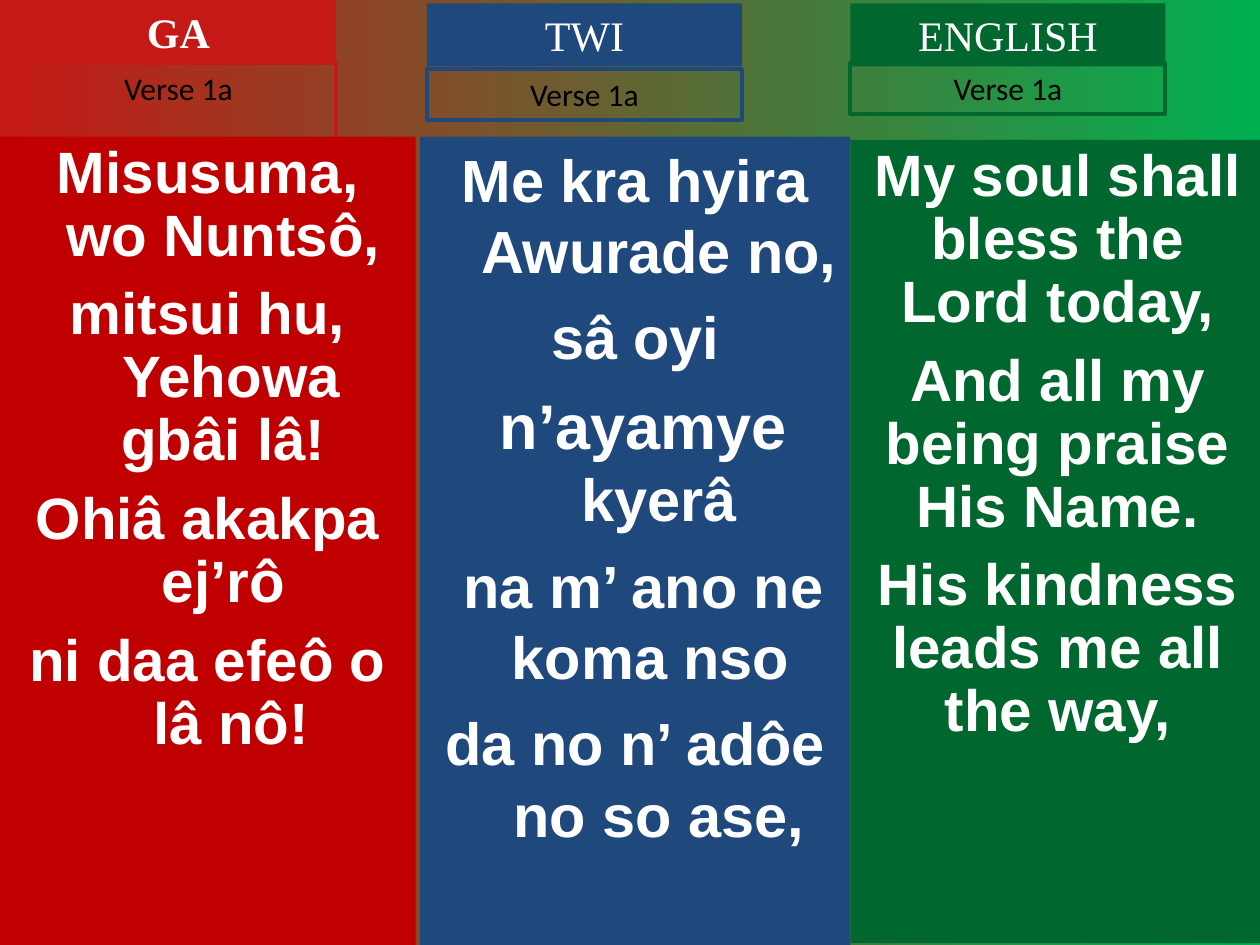
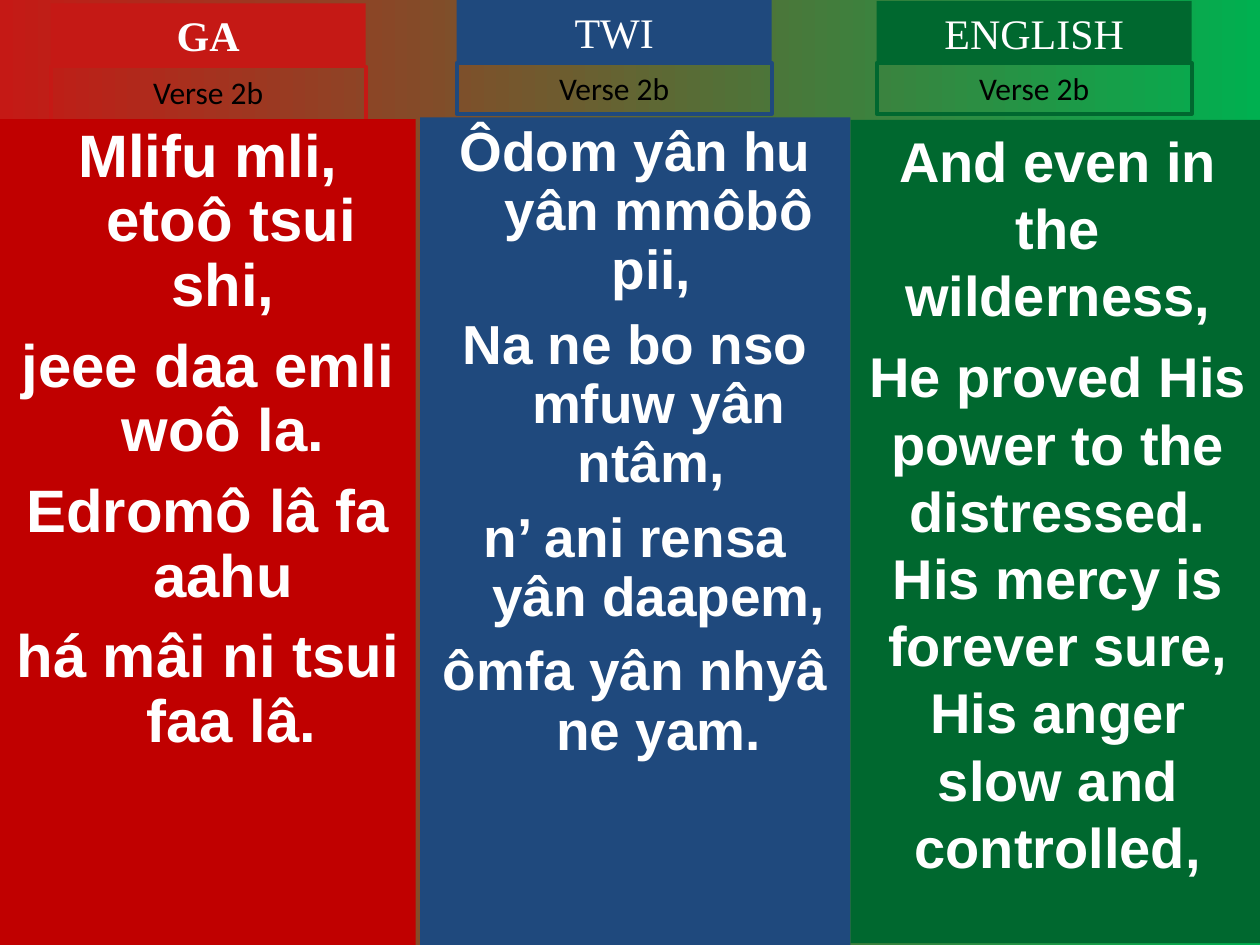
from lxml.etree import SubElement
from pptx import Presentation
from pptx.dml.color import RGBColor
from pptx.enum.shapes import MSO_SHAPE
from pptx.enum.text import MSO_ANCHOR, MSO_AUTO_SIZE, PP_ALIGN
from pptx.oxml.ns import qn
from pptx.util import Pt

COLOURS = {
    "ga": "C51915", "ga panel": "C00000", "twi": "1F497D", "english": "00682F",
    "background end": "00B050", "white": "FFFFFF", "black": "000000",
}

# Each language: heading, accent, panel colour, panel left and width, hanging indent
LANGUAGES = [
    {"heading": "GA", "bold": True, "accent": "ga", "panel": "ga panel",
     "left": 0, "width": 237.5, "hanging": 27},
    {"heading": "TWI", "bold": False, "accent": "twi", "panel": "twi",
     "left": 240, "width": 246, "hanging": 27},
    {"heading": "ENGLISH", "bold": False, "accent": "english", "panel": "english",
     "left": 486, "width": 237, "hanging": 0},
]

# Each column: (heading left, heading top), label top, panel top and bottom,
# text size, line spacing, space before, lyric lines.
# A line is a string, or a list of (text, size) parts.
VERSES = [
    ("Verse 1a", [
        {"tab": (12, 0), "label": 36, "panel": (78, 540),
         "size": 33.3, "spacing": 0.9, "before": 9,
         "lines": ["Misusuma, wo Nuntsô, ", "mitsui hu, Yehowa gbâi lâ! ",
                   "Ohiâ akakpa ej’rô ", "ni daa efeô o lâ nô!"]},
        {"tab": (244, 2), "label": 39.5, "panel": (78, 540),
         "size": 34, "spacing": 1.0, "before": 8.5,
         "lines": ["Me kra hyira Awurade no, ", "sâ oyi",
                   [(" ", 34), ("n’ayamye ", 36), ("kyerâ", 34)],
                   " na m’ ano ne koma nso ", "da no n’ adôe no so ase,"]},
        {"tab": (486, 2), "label": 36, "panel": (80, 539),
         "size": 33.3, "spacing": 0.9, "before": 9,
         "lines": ["My soul shall bless the Lord today,",
                   "And all my being praise His Name.",
                   "His kindness leads me all the way,"]},
    ]),
    ("Verse 2b", [
        {"tab": (29, 2), "label": 38, "panel": (68, 540),
         "size": 34.2, "spacing": 0.9, "before": 9.2,
         "lines": ["Mlifu mli, etoô tsui shi, ", "jeee daa emli woô la. ",
                   "Edromô lâ fa aahu ", "há mâi ni tsui faa lâ."]},
        {"tab": (261, 0), "label": 36, "panel": (67, 540),
         "size": 31.4, "spacing": 0.9, "before": 8.5,
         "lines": ["Ôdom yân hu yân mmôbô pii, ", "Na ne bo nso mfuw yân ntâm, ",
                   "n’ ani rensa yân daapem,", "ômfa yân nhyâ ne yam."]},
        {"tab": (501, 0.5), "label": 36, "panel": (68.5, 539),
         "size": 32, "spacing": 1.0, "before": 8,
         "lines": ["And even in the wilderness,",
                   "He proved His power to the distressed. His mercy is forever sure, "
                   "His anger slow and controlled,"]},
    ]),
]

TAB_WIDTH, HEADING_HEIGHT, LABEL_HEIGHT = 180, 36, 29
COMPARISON_LAYOUT = 4
PANEL_PLACEHOLDERS, SPARE_PLACEHOLDER = (1, 2, 4), 3
FRAME = {"word_wrap": True, "vertical_anchor": MSO_ANCHOR.TOP,
         "margin_left": Pt(7.2), "margin_right": Pt(7.2),
         "margin_top": Pt(3.6), "margin_bottom": Pt(3.6)}


def apply(target, values):
    for name, value in values.items():
        setattr(target, name, value)


def rgb(name):
    return RGBColor.from_string(COLOURS[name])


def place(shape, left, top, width, height):
    apply(shape, {"left": Pt(left), "top": Pt(top),
                  "width": Pt(width), "height": Pt(height)})


def add_box(slide):
    box = slide.shapes.add_shape(MSO_SHAPE.RECTANGLE, 0, 0, Pt(10), Pt(10))
    box.shadow.inherit = False
    return box


def paint(shape, fill=None, line=None):
    if fill:
        shape.fill.solid()
        shape.fill.fore_color.rgb = rgb(fill)
    else:
        shape.fill.background()
    if line:
        shape.line.color.rgb = rgb(line)
        shape.line.width = Pt(2.25)
    else:
        shape.line.fill.background()


def write(shape, lines, font, size, colour, bold=False, spacing=1.0, before=0,
          hanging=0, fit=MSO_AUTO_SIZE.SHAPE_TO_FIT_TEXT):
    frame = shape.text_frame
    apply(frame, {**FRAME, "auto_size": fit})
    for number, line in enumerate(lines):
        paragraph = frame.add_paragraph() if number else frame.paragraphs[0]
        properties = paragraph._p.get_or_add_pPr()
        properties.set("marL", str(Pt(hanging)))
        properties.set("indent", str(-Pt(hanging)))
        SubElement(properties, qn("a:buNone"))
        apply(paragraph, {"alignment": PP_ALIGN.CENTER, "line_spacing": spacing,
                          "space_before": Pt(before if number else 0)})
        for text, part_size in [(line, size)] if isinstance(line, str) else line:
            run = paragraph.add_run()
            run.text = text
            apply(run.font, {"name": font, "size": Pt(part_size), "bold": bold})
            run.font.color.rgb = rgb(colour)


def paint_background(slide):
    fill = slide.background.fill
    fill.gradient()
    fill.gradient_angle = 0
    for stop, position, name in zip(fill.gradient_stops, (0, 1), ("ga", "background end")):
        stop.position = position
        stop.color.rgb = rgb(name)


def add_column(slide, verse, language, column, panel, label):
    left, heading_top = column["tab"]
    top, bottom = column["panel"]

    place(panel, language["left"], top, language["width"], bottom - top)
    paint(panel, fill=language["panel"])
    write(panel, column["lines"], "Arial", column["size"], "white", True,
          column["spacing"], column["before"], language["hanging"], MSO_AUTO_SIZE.NONE)

    heading = add_box(slide)
    place(heading, left, heading_top, TAB_WIDTH, HEADING_HEIGHT)
    paint(heading, fill=language["accent"])
    write(heading, [language["heading"]], "Times New Roman", 24, "white", language["bold"])

    label = label or add_box(slide)
    place(label, left, column["label"], TAB_WIDTH, LABEL_HEIGHT)
    paint(label, line=language["accent"])
    write(label, [verse], "Calibri", 18, "black")


def main():
    deck = Presentation()
    apply(deck, {"slide_width": Pt(720), "slide_height": Pt(540)})
    for verse, columns in VERSES:
        slide = deck.slides.add_slide(deck.slide_layouts[COMPARISON_LAYOUT])
        paint_background(slide)
        spare = slide.placeholders[SPARE_PLACEHOLDER].element
        spare.getparent().remove(spare)
        labels = (slide.shapes.title, None, None)
        for language, column, index, label in zip(LANGUAGES, columns,
                                                  PANEL_PLACEHOLDERS, labels):
            add_column(slide, verse, language, column, slide.placeholders[index], label)
    deck.save("out.pptx")


if __name__ == "__main__":
    main()
